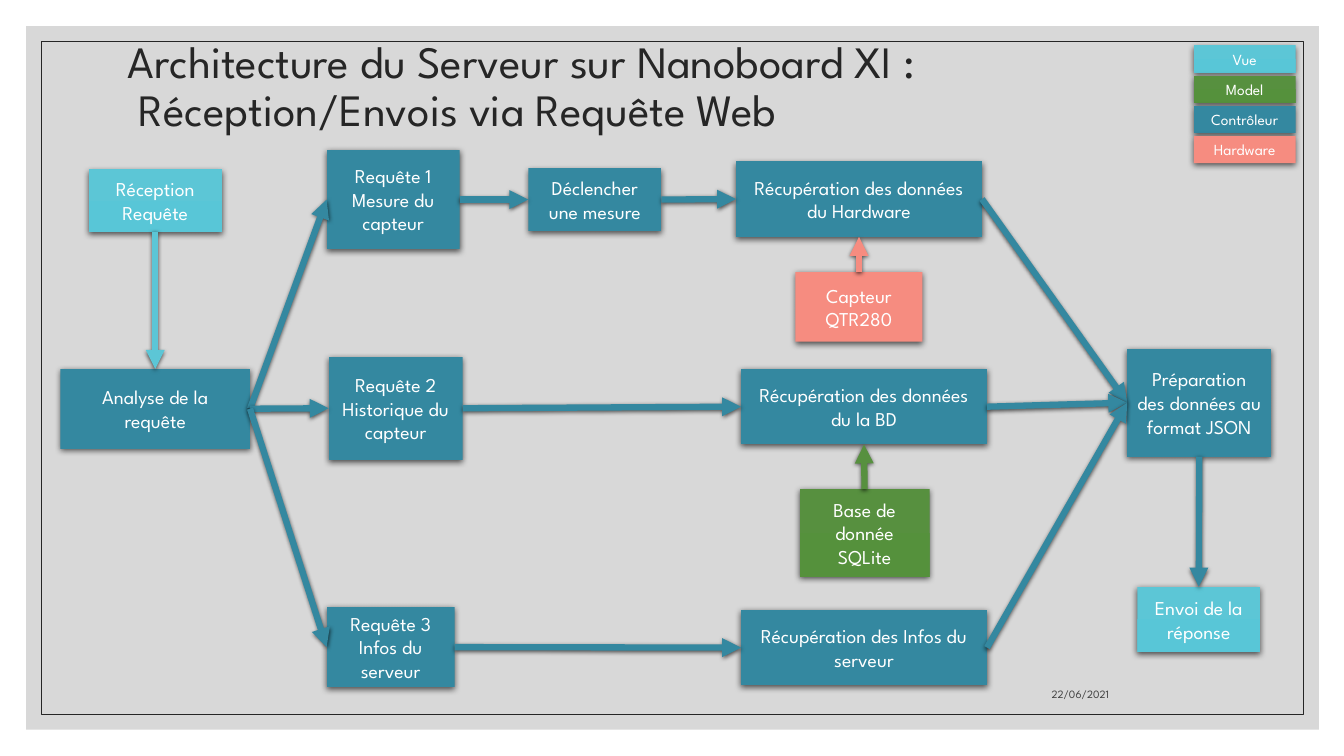
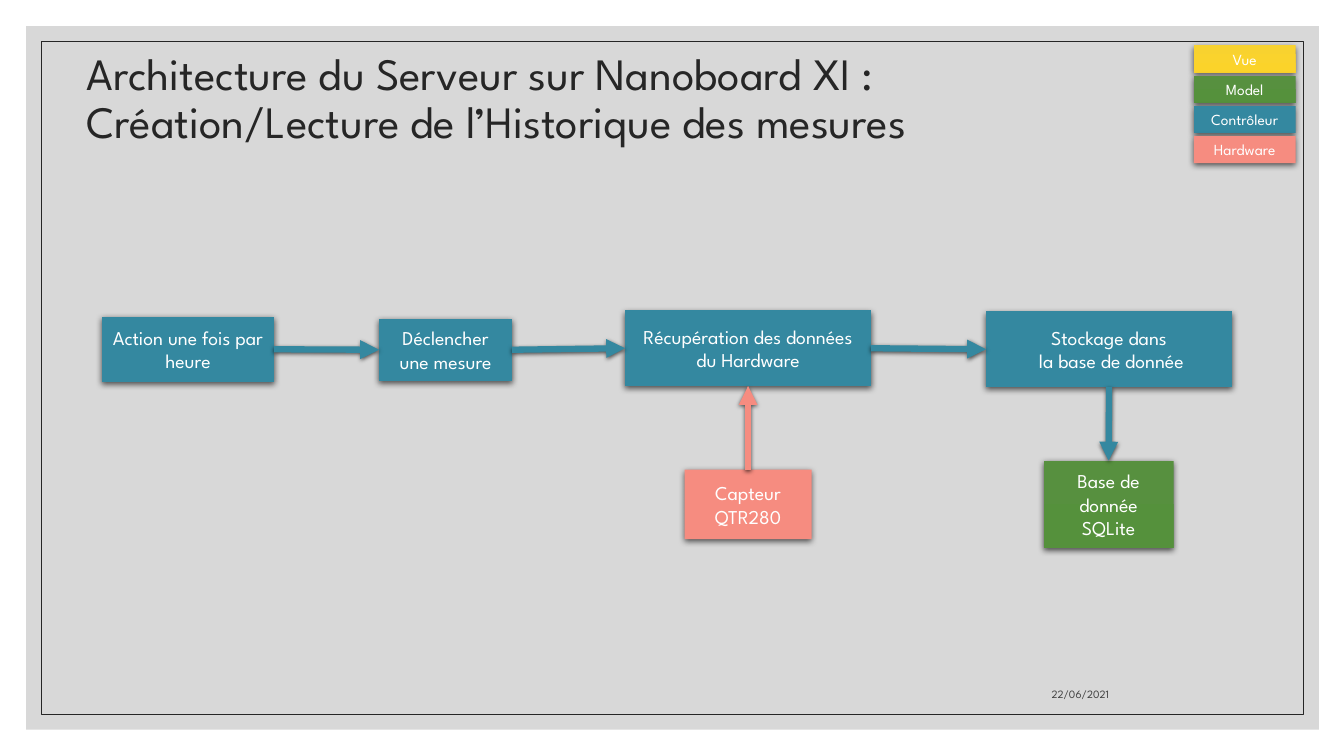
from lxml.etree import SubElement
from pptx import Presentation
from pptx.dml.color import RGBColor
from pptx.enum.shapes import MSO_CONNECTOR, MSO_SHAPE
from pptx.enum.text import MSO_ANCHOR, PP_ALIGN
from pptx.oxml.ns import qn
from pptx.util import Inches, Pt


class Theme:
    font = "League Spartan"
    title_size, box_size, legend_size, date_size = 32, 14, 11, 8
    ink, date_ink, white, panel = "262626", "404040", "FFFFFF", "BFBFBF"
    panel_alpha = 60
    cyan = ("5CC6D6", "58C6D7")
    yellow = ("F8D22F", "FBD32A")
    green = ("57903F", "55913C")
    blue = ("3488A0", "3188A1")
    coral = ("F68C80", "F68C80")
    arrow_width = 4.5
    box_shadow, arrow_shadow = (4.5, 1.5), (3, 1)


DATE = "22/06/2021"
LEGEND = ["Vue", "Model", "Contrôleur", "Hardware"]
SITES = {"right": (3, 1), "down": (2, 0), "up": (0, 2)}

SLIDES = [
    {
        "title": "Architecture du Serveur sur Nanoboard XI :\v Réception/Envois via Requête Web",
        "title_at": (1.17, 0.59, 11, 0.57),
        "colours": (Theme.cyan, Theme.green, Theme.blue, Theme.coral),
        "boxes": {
            "reception": ("Vue", "Réception Requête", 0.88, 1.68, 1.32, 0.62),
            "analyse": ("Contrôleur", "Analyse de la requête", 0.6, 3.66, 1.88, 0.79),
            "requete1": ("Contrôleur", "Requête 1\nMesure du capteur", 3.24, 1.49, 1.32, 0.98),
            "requete2": ("Contrôleur", "Requête 2\nHistorique du capteur", 3.26, 3.54, 1.33, 1.02),
            "requete3": ("Contrôleur", "Requête 3\nInfos du serveur", 3.24, 6.02, 1.27, 0.8),
            "mesure": ("Contrôleur", "Déclencher une mesure", 5.24, 1.67, 1.32, 0.62),
            "donnees": ("Contrôleur", "Récupération des données du Hardware", 7.3, 1.6, 2.44, 0.75),
            "historique": ("Contrôleur", "Récupération des données du la BD", 7.35, 3.66, 2.44, 0.75),
            "infos": ("Contrôleur", "Récupération des Infos du serveur", 7.35, 6.05, 2.44, 0.75),
            "capteur": ("Hardware", "Capteur QTR280", 7.89, 2.7, 1.26, 0.69),
            "base": ("Model", "Base de donnée SQLite", 7.93, 4.85, 1.29, 0.87),
            "json": ("Contrôleur", "Préparation des données au format JSON", 11.18, 3.46, 1.43, 1.07),
            "envoi": ("Vue", "Envoi de la réponse", 11.28, 5.82, 1.22, 0.65),
        },
        "arrows": [
            ("reception", "down", "analyse"),
            ("analyse", "right", "requete1"),
            ("analyse", "right", "requete2"),
            ("analyse", "right", "requete3"),
            ("requete1", "right", "mesure"),
            ("mesure", "right", "donnees"),
            ("requete2", "right", "historique"),
            ("requete3", "right", "infos"),
            ("capteur", "up", "donnees"),
            ("base", "up", "historique"),
            ("donnees", "right", "json"),
            ("historique", "right", "json"),
            ("infos", "right", "json"),
            ("json", "down", "envoi"),
        ],
    },
    {
        "title": "Architecture du Serveur sur Nanoboard XI :\vCréation/Lecture de l’Historique des mesures",
        "title_at": (0.76, 0.59, 10.88, 0.8),
        "colours": (Theme.yellow, Theme.green, Theme.blue, Theme.coral),
        "boxes": {
            "action": ("Contrôleur", "Action une fois par heure", 1.01, 3.14, 1.71, 0.65),
            "mesure": ("Contrôleur", "Déclencher une mesure", 3.76, 3.16, 1.32, 0.62),
            "donnees": ("Contrôleur", "Récupération des données du Hardware", 6.2, 3.08, 2.44, 0.75),
            "stockage": ("Contrôleur", "Stockage dans\n la base de donnée", 9.78, 3.09, 2.44, 0.75),
            "capteur": ("Hardware", "Capteur QTR280", 6.79, 4.66, 1.26, 0.69),
            "base": ("Model", "Base de donnée SQLite", 10.35, 4.57, 1.29, 0.87),
        },
        "arrows": [
            ("action", "right", "mesure"),
            ("mesure", "right", "donnees"),
            ("donnees", "right", "stockage"),
            ("capteur", "up", "donnees"),
            ("stockage", "down", "base"),
        ],
    },
]


def rgb(colour):
    return RGBColor.from_string(colour)


def inches(lengths):
    return [Inches(v) for v in lengths]


def write(sp, text, size, colour, align, anchor, spacing=None):
    tf = sp.text_frame
    tf.word_wrap = True
    tf.vertical_anchor = anchor
    tf.text = text
    for p in tf.paragraphs:
        p.alignment = align
        p.line_spacing = spacing
        for r in p.runs:
            r.font.name = Theme.font
            r.font.size = Pt(size)
            r.font.color.rgb = rgb(colour)


def add_label(slide, at, *style):
    write(slide.shapes.add_textbox(*inches(at)), *style)


def add_shadow(sp, sizes):
    blur, dist = sizes
    effects = SubElement(sp._element.spPr, qn("a:effectLst"))
    shadow = SubElement(effects, qn("a:outerShdw"), blurRad=str(Pt(blur)),
                        dist=str(Pt(dist)), dir="5400000", algn="ctr", rotWithShape="0")
    black = SubElement(shadow, qn("a:srgbClr"), val="000000")
    SubElement(black, qn("a:alpha"), val="63000")


def add_frame(slide):
    panel = slide.shapes.add_shape(MSO_SHAPE.RECTANGLE, *inches((0.26, 0.26, 12.82, 6.98)))
    panel.fill.solid()
    panel.fill.fore_color.rgb = rgb(Theme.panel)
    colour = panel._element.spPr.find(".//" + qn("a:srgbClr"))
    SubElement(colour, qn("a:alpha"), val=str(Theme.panel_alpha * 1000))
    panel.line.fill.background()
    border = slide.shapes.add_shape(MSO_SHAPE.RECTANGLE, *inches((0.41, 0.41, 12.52, 6.68)))
    border.fill.background()
    border.line.color.rgb = rgb(Theme.ink)
    border.line.width = Pt(0.5)
    for sp in (panel, border):
        sp.shadow.inherit = False


def add_box(slide, text, at, colours, size):
    sp = slide.shapes.add_shape(MSO_SHAPE.RECTANGLE, *inches(at))
    if colours[0] == colours[1]:
        sp.fill.solid()
        sp.fill.fore_color.rgb = rgb(colours[0])
    else:
        sp.fill.gradient()
        sp.fill.gradient_angle = 270
        for stop, colour in zip(sp.fill.gradient_stops, colours):
            stop.color.rgb = rgb(colour)
    sp.line.fill.background()
    add_shadow(sp, Theme.box_shadow)
    write(sp, text, size, Theme.white, PP_ALIGN.CENTER, MSO_ANCHOR.MIDDLE)
    return sp


def add_arrow(slide, start, direction, end, colour):
    line = slide.shapes.add_connector(MSO_CONNECTOR.STRAIGHT, 0, 0, 0, 0)
    start_site, end_site = SITES[direction]
    line.begin_connect(start, start_site)
    line.end_connect(end, end_site)
    line.line.color.rgb = rgb(colour)
    line.line.width = Pt(Theme.arrow_width)
    SubElement(line.line._get_or_add_ln(), qn("a:tailEnd"), type="triangle")
    add_shadow(line, Theme.arrow_shadow)


def build(prs, content):
    slide = prs.slides.add_slide(prs.slide_layouts[6])
    colours = dict(zip(LEGEND, content["colours"]))
    boxes = content["boxes"]
    add_frame(slide)
    add_label(slide, content["title_at"], content["title"], Theme.title_size,
              Theme.ink, PP_ALIGN.LEFT, MSO_ANCHOR.MIDDLE, 0.9)
    add_label(slide, (7.94, 6.6, 3.16, 0.4), DATE, Theme.date_size,
              Theme.date_ink, PP_ALIGN.RIGHT, MSO_ANCHOR.BOTTOM)
    for i, kind in enumerate(LEGEND):
        add_box(slide, kind, (11.84, 0.45 + 0.3 * i, 1.01, 0.27), colours[kind], Theme.legend_size)
    shapes = {name: add_box(slide, text, at, colours[kind], Theme.box_size)
              for name, (kind, text, *at) in boxes.items()}
    for start, direction, end in content["arrows"]:
        add_arrow(slide, shapes[start], direction, shapes[end], colours[boxes[start][0]][0])


prs = Presentation()
prs.slide_width, prs.slide_height = inches((13.33, 7.5))
for content in SLIDES:
    build(prs, content)
prs.save("out.pptx")
